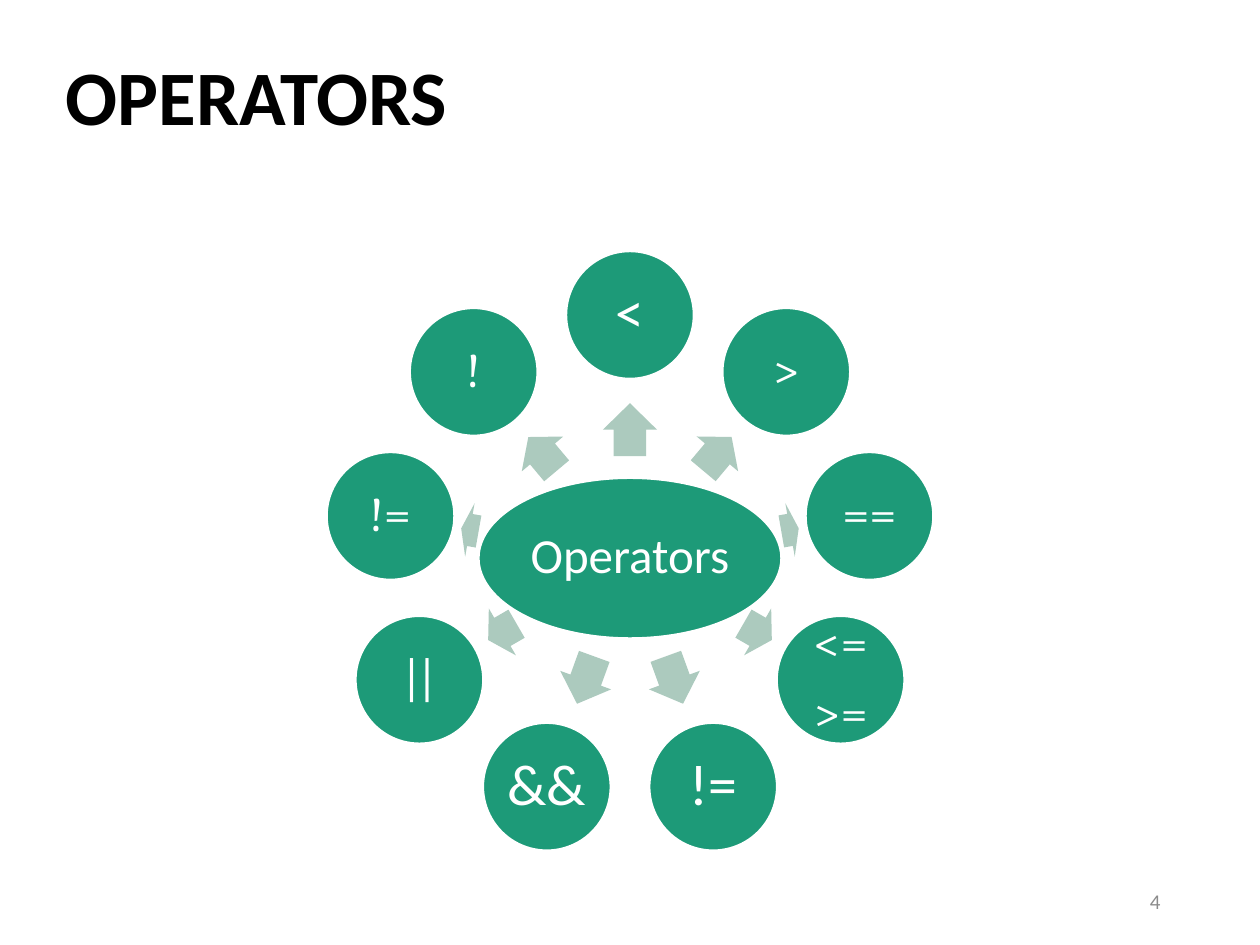
import math

import pptx
import pptx.dml.color
import pptx.enum.shapes
import pptx.enum.text
import pptx.util

Inches = pptx.util.Inches
Pt = pptx.util.Pt
SHAPE = pptx.enum.shapes.MSO_SHAPE
ALIGN = pptx.enum.text.PP_ALIGN
MIDDLE = pptx.enum.text.MSO_ANCHOR.MIDDLE

CENTER_X, CENTER_Y = 5, 4.43
RING_RADIUS = 1.93
NODE_SIZE = 1.01

# Clockwise from the top: text lines, size, font
OPERATORS = [
    (["<"], 33, "Calibri"),
    ([">"], 28, "Cambria"),
    (["=="], 28, "Cambria"),
    (["<=", ">="], 28, "Cambria"),
    (["!="], 33, "Calibri"),
    (["&&"], 33, "Calibri"),
    (["||"], 28, "Cambria"),
    (["!="], 28, "Cambria"),
    (["!"], 28, "Cambria"),
]
# Arrow length and distance from the centre, by steps away from the top
ARROWS = [(0.42, 1.02), (0.35, 1.08), (0.14, 1.29), (0.26, 1.17), (0.4, 1.03)]


def rgb(value):
    return pptx.dml.color.RGBColor.from_string(value)


def on_circle(angle, radius):
    """Point at an angle in degrees, clockwise from the top."""
    a = math.radians(angle)
    return CENTER_X + radius * math.sin(a), CENTER_Y - radius * math.cos(a)


class Deck:
    GREEN, PALE, WHITE = "1D9A78", "ACCABE", "FFFFFF"
    BLACK, GRAY = "000000", "8C8C8C"

    def __init__(self):
        self.prs = pptx.Presentation()
        self.prs.slide_width, self.prs.slide_height = Inches(10), Inches(7.5)
        self.slide = self.prs.slides.add_slide(self.prs.slide_layouts[5])

    def set_text(self, tf, lines, size, color, align, font="Calibri", bold=False):
        tf.word_wrap = True
        tf.auto_size = pptx.enum.text.MSO_AUTO_SIZE.NONE
        tf.vertical_anchor = MIDDLE
        for i, line in enumerate(lines):
            p = tf.add_paragraph() if i else tf.paragraphs[0]
            p.text = line
            p.alignment = align
            p.font.size, p.font.name, p.font.bold = Pt(size), font, bold
            p.font.color.rgb = rgb(color)

    def title(self, text, x, y, w, h):
        sp = self.slide.shapes.title
        sp.left, sp.top, sp.width, sp.height = map(Inches, (x, y, w, h))
        self.set_text(sp.text_frame, [text], 44, self.BLACK, ALIGN.LEFT, bold=True)
        sp.text_frame.paragraphs[0].line_spacing = 0.9

    def centered(self, kind, cx, cy, w, h, fill):
        """Add a preset shape placed by its centre."""
        box = map(Inches, (cx - w / 2, cy - h / 2, w, h))
        sp = self.slide.shapes.add_shape(kind, *box)
        sp.shadow.inherit = False
        sp.fill.solid()
        sp.fill.fore_color.rgb = rgb(fill)
        return sp

    def node(self, lines, cx, cy, w, h, size, font="Calibri"):
        sp = self.centered(SHAPE.OVAL, cx, cy, w, h, self.GREEN)
        sp.line.color.rgb = rgb(self.WHITE)
        sp.line.width = Pt(1)
        tf = sp.text_frame
        tf.margin_left = tf.margin_right = Inches(0.04)
        tf.margin_top = tf.margin_bottom = Inches(0.04)
        self.set_text(tf, lines, size, self.WHITE, ALIGN.CENTER, font)
        for p in tf.paragraphs:
            p.line_spacing = 0.9
            p.space_after = Pt(0.35 * size)

    def arrow(self, angle, length, distance):
        cx, cy = on_circle(angle, distance)
        sp = self.centered(SHAPE.RIGHT_ARROW, cx, cy, length, 0.43, self.PALE)
        sp.line.fill.background()
        sp.adjustments[0], sp.adjustments[1] = 0.6, 0.5
        sp.rotation = (angle - 90) % 360

    def page_number(self, text, x, y, w, h):
        sp = self.slide.shapes.add_textbox(*map(Inches, (x, y, w, h)))
        self.set_text(sp.text_frame, [text], 12, self.GRAY, ALIGN.RIGHT)


def main():
    deck = Deck()
    deck.title("OPERATORS", 0.42, 0.17, 9, 1.25)
    deck.node(["Operators"], CENTER_X, CENTER_Y, 2.4, 1.27, 28)
    count = len(OPERATORS)
    for i, (lines, size, font) in enumerate(OPERATORS):
        angle = i * 360 / count
        deck.arrow(angle, *ARROWS[min(i, count - i)])
        cx, cy = on_circle(angle, RING_RADIUS)
        deck.node(lines, cx, cy, NODE_SIZE, NODE_SIZE, size, font)
    deck.page_number("4", 7.06, 6.95, 2.25, 0.4)
    deck.prs.save("out.pptx")


if __name__ == "__main__":
    main()
